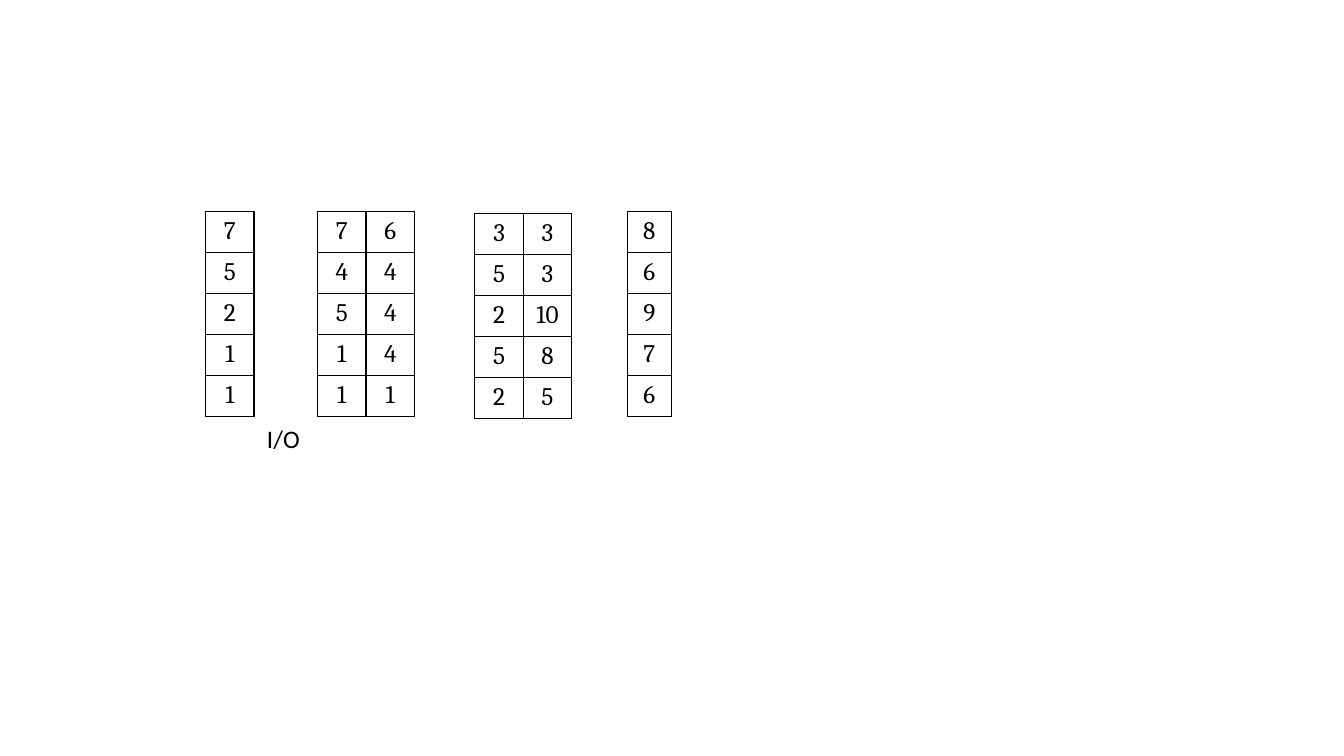
import pptx
import pptx.util
import pptx.dml.color
import pptx.enum.text
import pptx.oxml
import pptx.oxml.ns

Inches = pptx.util.Inches
Pt = pptx.util.Pt

COLORS = {"ink": "000000"}
ROW_HEIGHT = 0.407
BORDER_WIDTH = 1
TEXT_SIZE = 18

# Content: left, top, column width, rows
TABLES = [
    (2.04, 2.1, 0.48, [[7], [5], [2], [1], [1]]),
    (3.15, 2.1, 0.48, [[7, 6], [4, 4], [5, 4], [1, 4], [1, 1]]),
    (4.71, 2.12, 0.48, [[3, 3], [5, 3], [2, 10], [5, 8], [2, 5]]),
    (6.22, 2.1, 0.44, [[8], [6], [9], [7], [6]]),
]
LABEL = "I/O"


def format_run(run, font_name):
    run.font.name = font_name
    run.font.size = Pt(TEXT_SIZE)
    run.font.color.rgb = pptx.dml.color.RGBColor.from_string(COLORS["ink"])


def add_borders(cell):
    properties = cell._tc.get_or_add_tcPr()
    namespace = pptx.oxml.ns.nsdecls("a")
    for position, side in enumerate(("lnL", "lnR", "lnT", "lnB")):
        properties.insert(position, pptx.oxml.parse_xml(
            f'<a:{side} {namespace} w="{Pt(BORDER_WIDTH)}"><a:solidFill>'
            f'<a:srgbClr val="{COLORS["ink"]}"/></a:solidFill></a:{side}>'))


def add_number_table(slide, left, top, column_width, rows):
    column_count = len(rows[0])
    frame = slide.shapes.add_table(
        len(rows), column_count, Inches(left), Inches(top),
        Inches(column_width * column_count), Inches(ROW_HEIGHT * len(rows)))
    table = frame.table
    table.first_row = False
    table.horz_banding = False
    for column in table.columns:
        column.width = Inches(column_width)
    for row_index, values in enumerate(rows):
        table.rows[row_index].height = Inches(ROW_HEIGHT)
        for column_index, value in enumerate(values):
            cell = table.cell(row_index, column_index)
            cell.fill.background()
            add_borders(cell)
            paragraph = cell.text_frame.paragraphs[0]
            paragraph.text = str(value)
            paragraph.alignment = pptx.enum.text.PP_ALIGN.CENTER
            format_run(paragraph.runs[0], "Cambria")


presentation = pptx.Presentation()
presentation.slide_width = Inches(13.33)
presentation.slide_height = Inches(7.5)
slide = presentation.slides.add_slide(presentation.slide_layouts[6])

# Number tables
for table_data in TABLES:
    add_number_table(slide, *table_data)

# Label below the first two tables
label = slide.shapes.add_textbox(Inches(2.55), Inches(4.15), Inches(0.53), Inches(0.4))
label.text_frame.word_wrap = False
label.text_frame.auto_size = pptx.enum.text.MSO_AUTO_SIZE.SHAPE_TO_FIT_TEXT
label.text_frame.text = LABEL
format_run(label.text_frame.paragraphs[0].runs[0], "Calibri")

presentation.save("out.pptx")
